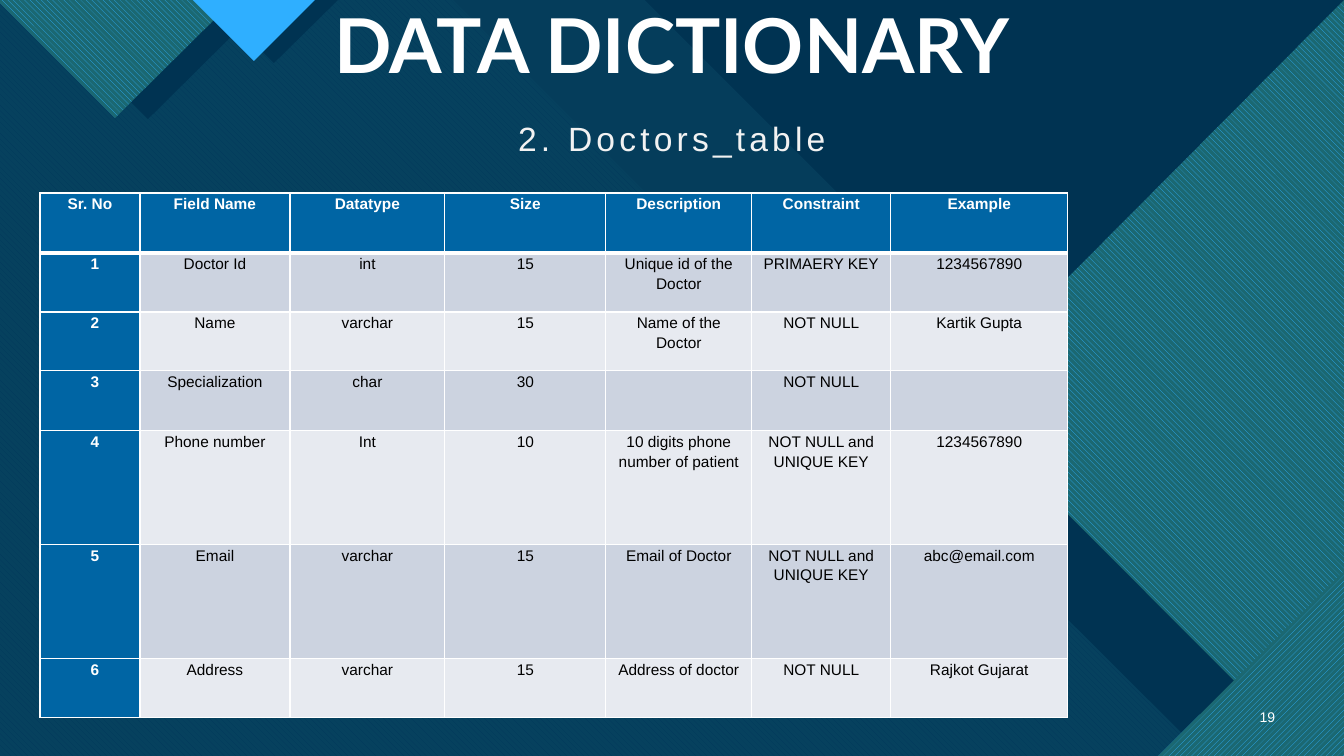
"""Builds the data dictionary slide for the doctors table."""
import math

from lxml import etree
from pptx import Presentation
from pptx import util as u
from pptx.dml.color import RGBColor
from pptx.enum import dml, shapes, text
from pptx.oxml import ns

PX = 12192000 / 1344
WHITE = RGBColor(0xFF, 0xFF, 0xFF)
BLACK = RGBColor(0x00, 0x00, 0x00)
PALE = RGBColor(0xF2, 0xF2, 0xF2)
NAVY = RGBColor(0x00, 0x33, 0x52)
DEEP_BLUE = RGBColor(0x0C, 0x43, 0x60)
BLUE = RGBColor(0x00, 0x65, 0xA4)
SKY = RGBColor(0x2F, 0xAF, 0xFF)
AQUA = RGBColor(0x47, 0xC3, 0xD3)
TEAL = RGBColor(0x1B, 0x68, 0x72)
ROW_FILLS = [RGBColor(0xE7, 0xEA, 0xF0), RGBColor(0xCC, 0xD3, 0xE0)]
DOWN = dml.MSO_PATTERN.WIDE_DOWNWARD_DIAGONAL
UP = dml.MSO_PATTERN.WIDE_UPWARD_DIAGONAL


def px(*lengths):
    return [u.Emu(round(length * PX)) for length in lengths]


def write(frame, words, size=11, color=WHITE, font="Arial", bold=False,
          align=text.PP_ALIGN.CENTER, line=None, after=None, spacing=None, indent=None):
    frame.word_wrap = True
    paragraph = frame.paragraphs[0]
    paragraph.alignment = align
    paragraph.line_spacing = line
    paragraph.space_after = after
    if indent:
        paragraph._p.get_or_add_pPr().set("marL", str(indent))
    run = paragraph.add_run()
    run.text = words
    run.font.size = u.Pt(size)
    run.font.name = font
    run.font.bold = bold
    run.font.color.rgb = color
    if spacing:
        run._r.get_or_add_rPr().set("spc", str(spacing))


presentation = Presentation()
presentation.slide_width, presentation.slide_height = px(1344, 756)
slide = presentation.slides.add_slide(presentation.slide_layouts[5])
slide.background.fill.solid()
slide.background.fill.fore_color.rgb = DEEP_BLUE

backdrop = [
    ([(0, 0), (833, 0), (1132, 299), (1245, 299), (1344, 399), (1344, 756), (0, 756)],
     AQUA, None, 0, 74),
    ([(0, 0), (453, 0), (752, 299), (879, 299), (1336, 756), (0, 756)],
     BLUE, (DOWN, AQUA), 270, 100),
    ([(645, 0), (1344, 0), (1344, 699)], NAVY, None, 0, 100),
    ([(0, 0), (701, 0), (1000, 299), (1127, 299), (1344, 517), (1344, 756), (0, 756)],
     NAVY, None, 0, 90),
    ([(1344, 69), (1344, 756), (1205, 756), (930, 482)], NAVY, None, 0, 100),
    ([(1344, 0), (1344, 756), (1309, 756), (950, 396)], SKY, (DOWN, TEAL), 135, 100),
    ([(1344, 619), (1344, 756), (1207, 756)], NAVY, None, 0, 100),
    ([(1344, 571), (1344, 756), (1158, 756)], SKY, (UP, TEAL), 135, 100),
    ([(268, 0), (148, 119), (29, 0)], NAVY, None, 0, 100),
    ([(-3, 0), (115, 118), (234, 0)], SKY, (DOWN, TEAL), 45, 100),
    ([(338, 0), (274, 63), (211, 0)], NAVY, None, 0, 100),
    ([(193, 0), (254, 61), (315, 0)], SKY, None, 0, 100),
]
for corners, color, pattern, turn, opacity in backdrop:
    cos, sin = math.cos(math.radians(turn)), math.sin(math.radians(turn))
    local = [(x * cos + y * sin, y * cos - x * sin) for x, y in corners]
    mid_x, mid_y = [(min(axis) + max(axis)) / 2 for axis in zip(*local)]
    shift_x = mid_x * cos - mid_y * sin - mid_x
    shift_y = mid_x * sin + mid_y * cos - mid_y
    points = [px(x + shift_x, y + shift_y) for x, y in local]
    builder = slide.shapes.build_freeform(*points[0])
    builder.add_line_segments(points[1:], close=True)
    shape = builder.convert_to_shape()
    shape.rotation = turn
    shape.shadow.inherit = False
    shape.line.fill.background()
    if pattern:
        shape.fill.patterned()
        shape.fill.pattern, shape.fill.back_color.rgb = pattern
    else:
        shape.fill.solid()
    shape.fill.fore_color.rgb = color
    if opacity < 100:
        tint = shape._element.spPr.find(".//" + ns.qn("a:srgbClr"))
        etree.SubElement(tint, ns.qn("a:alpha")).set("val", str(opacity * 1000))

subtitle = slide.shapes.add_textbox(*px(0, 118, 1344, 84))
write(subtitle.text_frame, "2. Doctors_table", size=24, color=PALE, line=0.9, spacing=300)

page_number = slide.shapes.add_textbox(*px(1241, 697, 44, 40))
page_number.text_frame.vertical_anchor = text.MSO_ANCHOR.MIDDLE
write(page_number.text_frame, "19", size=10, align=text.PP_ALIGN.RIGHT)

title = slide.shapes.title
title.left, title.top, title.width, title.height = px(0, 0, 1344, 95)
title.text_frame.vertical_anchor = text.MSO_ANCHOR.BOTTOM
title.text_frame.auto_size = text.MSO_AUTO_SIZE.NONE
write(title.text_frame, "DATA DICTIONARY", size=54, font="Lato", bold=True, line=0.9)
slide.shapes._spTree.append(title._element)

fields = [
    ["Sr. No", "Field Name", "Datatype", "Size", "Description", "Constraint", "Example"],
    ["1", "Doctor Id", "int", "15", "Unique id of the Doctor", "PRIMAERY KEY", "1234567890"],
    ["2", "Name", "varchar", "15", "Name of the Doctor", "NOT NULL", "Kartik Gupta"],
    ["3", "Specialization", "char", "30", "", "NOT NULL", ""],
    ["4", "Phone number", "Int", "10", "10 digits phone number of patient",
     "NOT NULL and UNIQUE KEY", "1234567890"],
    ["5", "Email", "varchar", "15", "Email of Doctor", "NOT NULL and UNIQUE KEY",
     "abc@email.com"],
    ["6", "Address", "varchar", "15", "Address of doctor", "NOT NULL", "Rajkot Gujarat"],
]
widths = px(100, 150, 155, 161, 146, 139, 177)
heights = px(60, 59, 59, 60, 114, 114, 59)
table = slide.shapes.add_table(len(heights), len(widths), *px(40, 193, 1028, 525)).table
for column, width in zip(table.columns, widths):
    column.width = width
for row, height in zip(table.rows, heights):
    row.height = height

for r, record in enumerate(fields):
    for c, words in enumerate(record):
        cell = table.cell(r, c)
        heading = r == 0 or c == 0
        cell.margin_left, cell.margin_right, cell.margin_top, cell.margin_bottom = px(7, 7, 0, 0)
        cell.fill.solid()
        cell.fill.fore_color.rgb = BLUE if heading else ROW_FILLS[r % 2]
        if words:
            write(cell.text_frame, words, color=WHITE if heading else BLACK, bold=heading,
                  line=1.15, after=u.Pt(10), indent=px(10)[0] if r and c == 0 else None)
        properties = cell._tc.get_or_add_tcPr()
        for position, side in enumerate("LRTB"):
            thick = (r, side) in [(0, "B"), (1, "T")]
            border = etree.Element(ns.qn("a:ln" + side), w=str(u.Pt(3 if thick else 1)))
            paint = etree.SubElement(border, ns.qn("a:solidFill"))
            etree.SubElement(paint, ns.qn("a:srgbClr")).set("val", str(WHITE))
            properties.insert(position, border)

presentation.save("out.pptx")
